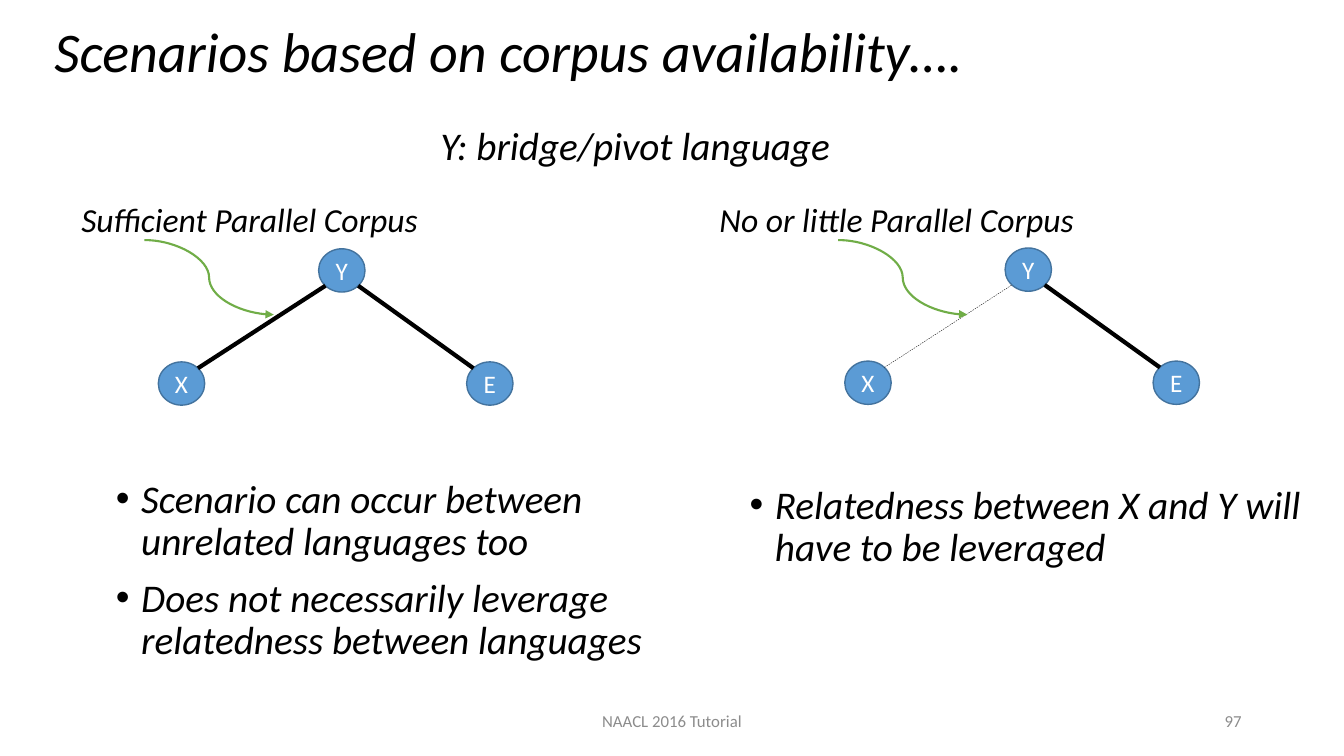
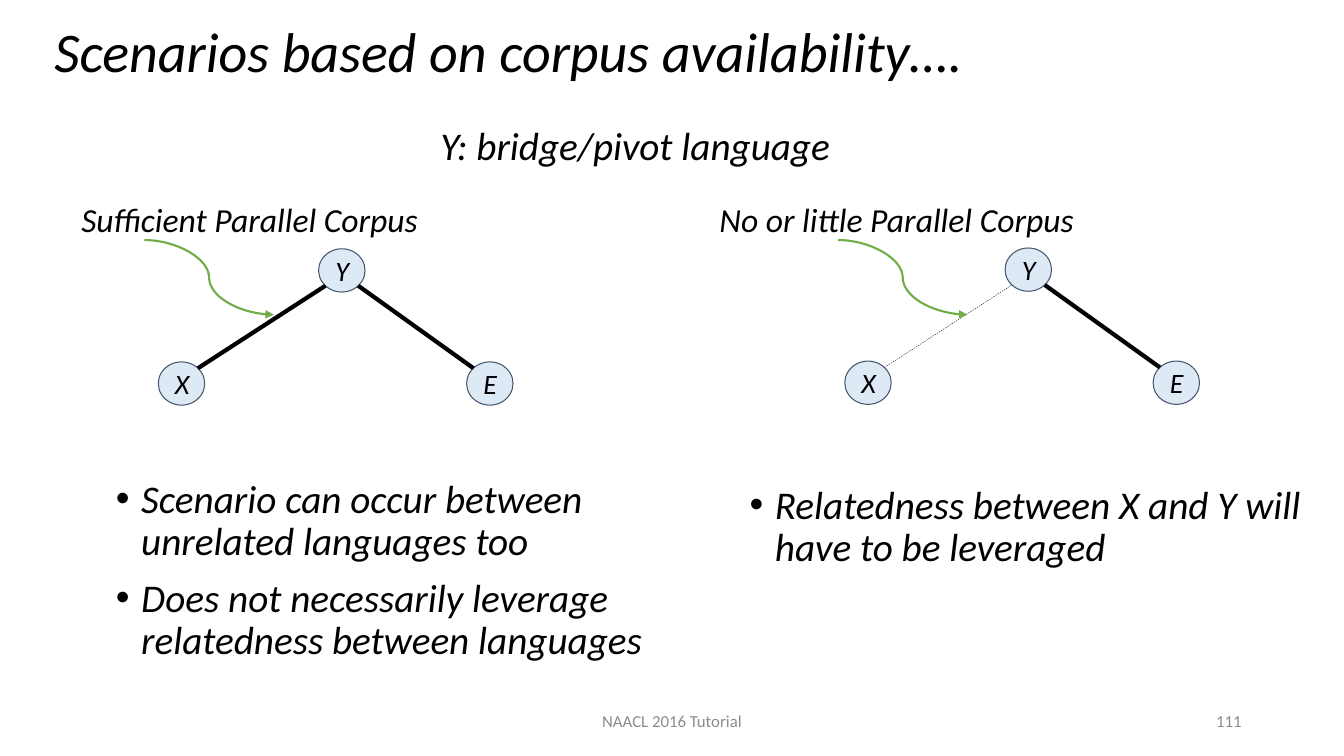
from dataclasses import dataclass

from lxml import etree
from pptx import Presentation
from pptx import util as u
from pptx.dml import color as c
from pptx.enum import dml, shapes, text
from pptx.oxml import ns

FONT = "Calibri"
INK, GREY, GREEN = "000000", "8C8C8C", "70AD47"
NODE_WIDTH, NODE_HEIGHT = 1.17, 1.09
DIAGONAL = 0.5 ** 0.5 / 2
INDENT = 0.64


@dataclass(frozen=True)
class NodeStyle:
    """Look of the language circles on one slide."""

    fill: str
    line: str
    weight: float
    color: str
    size: int
    italic: bool
    margin: float
    alpha: int = 100


@dataclass(frozen=True)
class Scenario:
    """One half of a slide: caption, language tree and remarks."""

    caption: str
    caption_box: tuple[float, float, float, float]
    tree: tuple[float, float]
    arrow_left: float
    remarks: tuple[str, ...]
    remarks_box: tuple[float, float, float, float]
    sparse: bool = False


@dataclass(frozen=True)
class PageSpec:
    """Page number and circle style of one slide."""

    number: str
    style: NodeStyle


SCENARIOS = (
    Scenario(
        "Sufficient Parallel Corpus", (1.8, 4.88, 9.55, 1.27), (3.99, 6.27), 3.64,
        ("Scenario can occur between unrelated languages too",
         "Does not necessarily leverage relatedness between languages"),
        (2.67, 11.96, 14.42, 5.26),
    ),
    Scenario(
        "No or little Parallel Corpus", (17.88, 4.88, 10.29, 1.27), (21.29, 6.25), 21.12,
        ("Relatedness between X and Y will have to be leveraged",),
        (18.64, 12.1, 14.44, 3.38), sparse=True,
    ),
)
NODES = {"X": (0, 2.85), "Y": (4.04, 0), "E": (7.77, 2.85)}
PAGES = (
    PageSpec("97", NodeStyle("5B9BD5", "43739E", 1, "FFFFFF", 18, False, 0.13)),
    PageSpec("111", NodeStyle("BDD7EE", "44546A", 0.75, INK, 20, True, 0.25, alpha=50)),
)


def rgb(value: str) -> c.RGBColor:
    """Turn a hex string into a colour."""
    return c.RGBColor.from_string(value)


def add_span(para, content: str, *, size: float, color: str = INK, italic: bool = True) -> None:
    """Append formatted text to a paragraph."""
    span = para.add_run()
    span.text = content
    span.font.name = FONT
    span.font.size = u.Pt(size)
    span.font.italic = italic
    span.font.color.rgb = rgb(color)


def add_text(page, content: str, box: tuple, *, size: float, color: str = INK,
             italic: bool = True, align=text.PP_ALIGN.LEFT,
             anchor=text.MSO_ANCHOR.TOP, wrap: bool = True) -> None:
    """Place a single line of text in a box."""
    frame = page.shapes.add_textbox(*map(u.Cm, box)).text_frame
    frame.word_wrap = wrap
    frame.vertical_anchor = anchor
    para = frame.paragraphs[0]
    para.alignment = align
    add_span(para, content, size=size, color=color, italic=italic)


def add_bullets(page, items: tuple[str, ...], box: tuple) -> None:
    """Place a bulleted list in a box."""
    frame = page.shapes.add_textbox(*map(u.Cm, box)).text_frame
    frame.word_wrap = True
    for index, item in enumerate(items):
        para = frame.add_paragraph() if index else frame.paragraphs[0]
        para.line_spacing = 0.9
        para.space_before = u.Pt(10)
        properties = para._p.get_or_add_pPr()
        properties.set("marL", str(u.Cm(INDENT)))
        properties.set("indent", str(-u.Cm(INDENT)))
        etree.SubElement(properties, ns.qn("a:buFont"), typeface="Arial")
        etree.SubElement(properties, ns.qn("a:buChar"), char="•")
        add_span(para, item, size=28)


def add_node(page, label: str, left: float, top: float, style: NodeStyle) -> None:
    """Draw one labelled language circle."""
    node = page.shapes.add_shape(
        shapes.MSO_SHAPE.OVAL, *map(u.Cm, (left, top, NODE_WIDTH, NODE_HEIGHT)))
    node.shadow.inherit = False
    node.fill.solid()
    node.fill.fore_color.rgb = rgb(style.fill)
    if style.alpha < 100:
        tint = node.element.spPr.find(f"{ns.qn('a:solidFill')}/{ns.qn('a:srgbClr')}")
        etree.SubElement(tint, ns.qn("a:alpha"), val=str(style.alpha * 1000))
    node.line.color.rgb = rgb(style.line)
    node.line.width = u.Pt(style.weight)
    frame = node.text_frame
    frame.margin_top = frame.margin_bottom = u.Cm(style.margin)
    frame.vertical_anchor = text.MSO_ANCHOR.MIDDLE
    para = frame.paragraphs[0]
    para.alignment = text.PP_ALIGN.CENTER
    add_span(para, label, size=style.size, color=style.color, italic=style.italic)


def add_line(page, start: tuple, end: tuple, *, color: str = INK, weight: float = 3,
             kind=shapes.MSO_CONNECTOR.STRAIGHT, dashed: bool = False,
             arrow: bool = False) -> None:
    """Draw a connector between two points."""
    line = page.shapes.add_connector(kind, *map(u.Cm, (*start, *end)))
    line.line.color.rgb = rgb(color)
    line.line.width = u.Pt(weight)
    if dashed:
        line.line.dash_style = dml.MSO_LINE.DASH
    properties = line.element.spPr
    if arrow:
        etree.SubElement(properties.find(ns.qn("a:ln")), ns.qn("a:tailEnd"), type="triangle")
    etree.SubElement(properties, ns.qn("a:effectLst"))


def rim_point(left: float, top: float, across: int, down: int) -> tuple[float, float]:
    """Find the diagonal point on the rim of a circle."""
    return (left + NODE_WIDTH * (0.5 + across * DIAGONAL),
            top + NODE_HEIGHT * (0.5 + down * DIAGONAL))


def add_scenario(page, scenario: Scenario, style: NodeStyle) -> None:
    """Draw one half of a slide."""
    add_bullets(page, scenario.remarks, scenario.remarks_box)
    left, top = scenario.tree
    spots = {label: (left + dx, top + dy) for label, (dx, dy) in NODES.items()}
    for label, spot in spots.items():
        add_node(page, label, *spot, style)
    add_line(page, rim_point(*spots["X"], 1, -1), rim_point(*spots["Y"], -1, 1),
             weight=0.25 if scenario.sparse else 3, dashed=scenario.sparse)
    add_line(page, rim_point(*spots["Y"], 1, 1), rim_point(*spots["E"], -1, -1))
    add_line(page, (scenario.arrow_left, 6.05), (scenario.arrow_left + 3.26, 7.93),
             color=GREEN, weight=1.5, kind=shapes.MSO_CONNECTOR.CURVE, arrow=True)
    add_text(page, scenario.caption, scenario.caption_box, size=24)


def add_frame(page, number: str) -> None:
    """Add the heading, subheading and footer that every slide has."""
    add_text(page, "Scenarios based on corpus availability….", (1.12, 0.3, 23.67, 1.96),
             size=40, wrap=False)
    add_text(page, "Y: bridge/pivot language", (10.85, 2.92, 10.44, 1.45), size=28, wrap=False)
    footer = dict(size=12, color=GREY, italic=False, anchor=text.MSO_ANCHOR.MIDDLE)
    add_text(page, number, (23.92, 17.65, 7.62, 1.02), align=text.PP_ALIGN.RIGHT, **footer)
    add_text(page, "NAACL 2016 Tutorial", (11.22, 17.65, 11.43, 1.02),
             align=text.PP_ALIGN.CENTER, **footer)


def main() -> None:
    """Build and save the deck."""
    deck = Presentation()
    deck.slide_width, deck.slide_height = u.Cm(33.87), u.Cm(19.05)
    for page_spec in PAGES:
        page = deck.slides.add_slide(deck.slide_layouts[6])
        for scenario in SCENARIOS:
            add_scenario(page, scenario, page_spec.style)
        add_frame(page, page_spec.number)
    deck.save("out.pptx")


if __name__ == "__main__":
    main()
